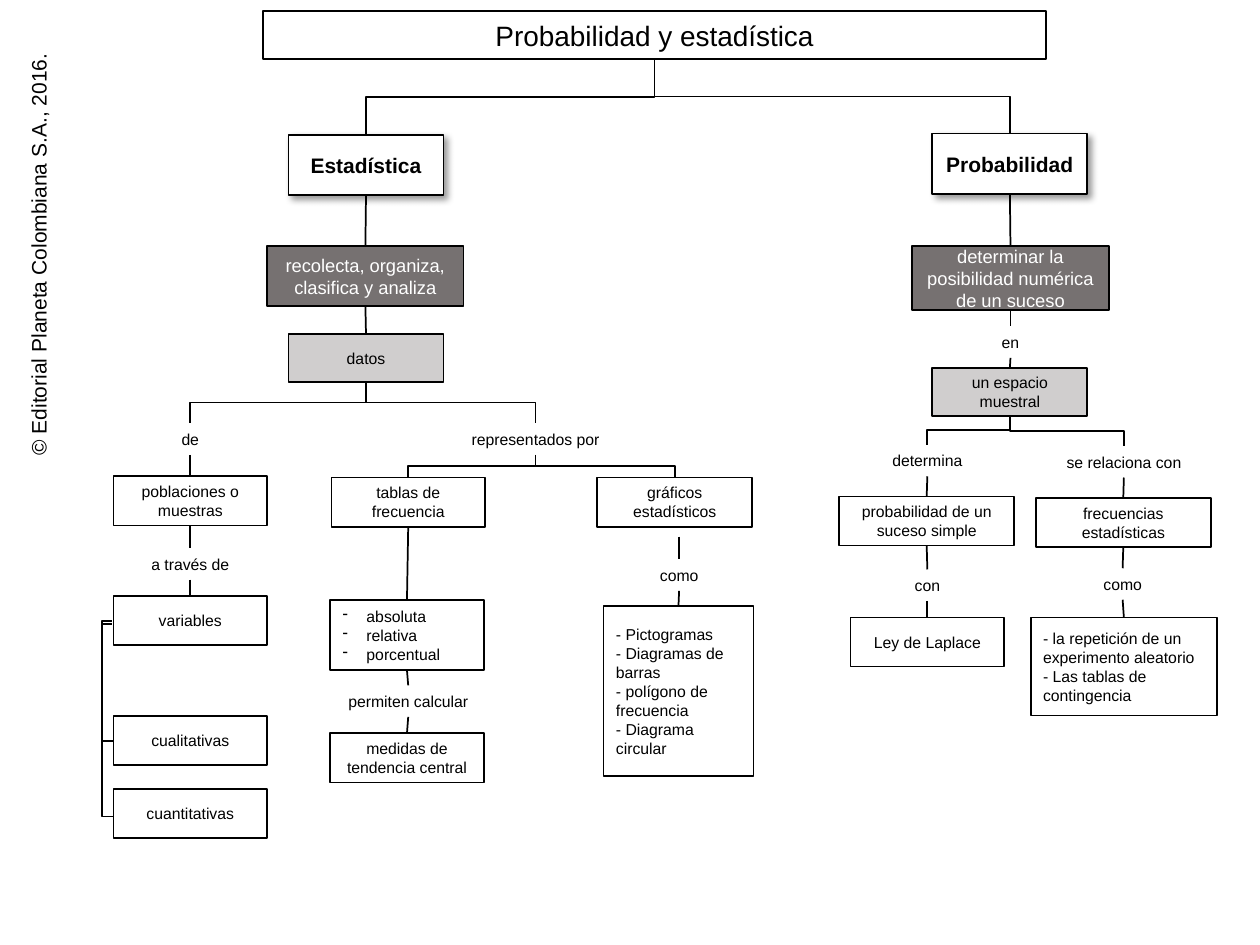
from lxml.etree import SubElement
from pptx import Presentation
from pptx.dml.color import RGBColor
from pptx.enum.shapes import MSO_CONNECTOR, MSO_SHAPE
from pptx.enum.text import MSO_ANCHOR, MSO_AUTO_SIZE, PP_ALIGN
from pptx.oxml.ns import qn
from pptx.util import Pt

PX = 9144
BLACK = RGBColor(0x00, 0x00, 0x00)
WHITE = RGBColor(0xFF, 0xFF, 0xFF)
DARK = RGBColor(0x76, 0x71, 0x71)
LIGHT = RGBColor(0xD0, 0xCE, 0xCE)

CREDIT = ("© Editorial Planeta Colombiana S.A., 2016.", -140, 187, 341, 30)

STYLES = {
    "title": dict(size=16),
    "head": dict(size=12, bold=True),
    "verb": dict(size=10.5, color=WHITE),
    "noun": {},
    "box": {},
    "list": dict(align=PP_ALIGN.LEFT),
    "dash": dict(align=PP_ALIGN.LEFT, dash=True),
    "link": {},
}
FILLS = {"verb": DARK, "noun": LIGHT}

NODES = {
    "root": ("title", "Probabilidad y estadística", 209, 9, 621, 38),
    "stat": ("head", "Estadística", 229, 107, 123, 48),
    "prob": ("head", "Probabilidad", 740, 106, 123, 48),
    "collect": ("verb", "recolecta, organiza, clasifica y analiza", 212, 195, 156, 48),
    "find": ("verb", "determinar la posibilidad numérica de un suceso", 724, 195, 156, 51),
    "data": ("noun", "datos", 229, 265, 123, 38),
    "space": ("noun", "un espacio muestral", 740, 292, 123, 38),
    "people": ("box", "poblaciones o muestras", 90, 378, 122, 39),
    "vars": ("box", "variables", 90, 473, 122, 39),
    "qual": ("box", "cualitativas", 90, 568, 122, 39),
    "quant": ("box", "cuantitativas", 90, 626, 122, 39),
    "tables": ("box", "tablas de frecuencia", 263, 379, 122, 39),
    "charts": ("box", "gráficos estadísticos", 474, 379, 123, 39),
    "kinds": ("dash", "absoluta\nrelativa\nporcentual", 262, 476, 122, 56),
    "center": ("box", "medidas de tendencia central", 262, 582, 122, 39),
    "plots": ("list", "- Pictogramas\n- Diagramas de barras\n- polígono de frecuencia\n"
              "- Diagrama circular", 479, 481, 119, 135),
    "simple": ("box", "probabilidad de un suceso simple", 666, 394, 139, 39),
    "law": ("box", "Ley de Laplace", 675, 490, 122, 39),
    "freq": ("box", "frecuencias estadísticas", 822, 395, 139, 39),
    "repeat": ("list", "- la repetición de un experimento aleatorio\n"
               "- Las tablas de contingencia", 818, 490, 148, 78),
    "of": ("link", "de", 90, 336, 122, 25),
    "through": ("link", "a través de", 90, 435, 122, 25),
    "shown": ("link", "representados por", 364, 336, 122, 25),
    "allow": ("link", "permiten calcular", 263, 544, 122, 25),
    "such": ("link", "como", 478, 444, 122, 25),
    "in": ("link", "en", 741, 259, 122, 25),
    "sets": ("link", "determina", 675, 353, 122, 25),
    "with": ("link", "con", 675, 452, 122, 25),
    "relates": ("link", "se relaciona con", 831, 354, 122, 25),
    "as": ("link", "como", 830, 451, 122, 25),
}

CHAINS = [
    ("root", "stat", "collect", "data", "of", "people", "through", "vars"),
    ("data", "shown", "tables", "kinds", "allow", "center"),
    ("shown", "charts"),
    ("such", "plots"),
    ("root", "prob", "find", "in", "space", "sets", "simple", "with", "law"),
    ("space", "relates", "freq", "as", "repeat"),
]
LOOSE = (539, 426)
BRACKET = [("qual", 588, 493), ("quant", 648, 495)]

deck = Presentation()
deck.slide_width, deck.slide_height = 1000 * PX, 750 * PX
slide = deck.slides.add_slide(deck.slide_layouts[6])
shapes = slide.shapes


def scale(*nums):
    return [round(n * PX) for n in nums]


def write(frame, text, size=9, color=BLACK, bold=False,
          align=PP_ALIGN.CENTER, dash=False, wrap=True):
    frame.word_wrap = wrap
    for i, line in enumerate(text.split("\n")):
        para = frame.paragraphs[0] if i == 0 else frame.add_paragraph()
        para.alignment = align
        if dash:
            props = para._p.get_or_add_pPr()
            props.set("marL", str(19 * PX))
            props.set("indent", str(-19 * PX))
            SubElement(props, qn("a:buChar")).set("char", "-")
        run = para.add_run()
        run.text = line
        font = run.font
        font.name, font.size, font.bold = "Arial", Pt(size), bold
        font.color.rgb = color


def shade(shape):
    effects = shape._element.spPr.find(qn("a:effectLst"))
    outer = SubElement(effects, qn("a:outerShdw"), blurRad=str(Pt(4)),
                       dist=str(Pt(3)), dir="2700000", algn="tl", rotWithShape="0")
    tint = SubElement(outer, qn("a:srgbClr"), val="000000")
    SubElement(tint, qn("a:alpha"), val="40000")


def label(text, *box, **fmt):
    shape = shapes.add_textbox(*scale(*box))
    write(shape.text_frame, text, **fmt)
    shape.text_frame.auto_size = MSO_AUTO_SIZE.SHAPE_TO_FIT_TEXT
    return shape


def node(style, text, *box):
    fmt = STYLES[style]
    if style == "link":
        return label(text, *box, **fmt)
    shape = shapes.add_shape(MSO_SHAPE.RECTANGLE, *scale(*box))
    shape.shadow.inherit = False
    shape.fill.solid()
    shape.fill.fore_color.rgb = FILLS.get(style, WHITE)
    shape.line.color.rgb = BLACK
    shape.line.width = Pt(1)
    shape.text_frame.vertical_anchor = MSO_ANCHOR.MIDDLE
    write(shape.text_frame, text, **fmt)
    if style == "head":
        shade(shape)
    return shape


def wire(kind, *ends):
    line = shapes.add_connector(kind, *scale(*ends))
    line.line.color.rgb = BLACK
    line.line.width = Pt(1)
    SubElement(line._element.spPr, qn("a:effectLst"))
    return line


def join(top, low):
    _, _, x, y, w, h = NODES[top]
    x1, y1 = x + w / 2, y + h
    _, _, x, y2, w, _ = NODES[low]
    x2 = x + w / 2
    if abs(x2 - x1) < 3:
        line = wire(MSO_CONNECTOR.STRAIGHT, x1, y1, x2, y2)
        line.begin_connect(made[top], 2)
        line.end_connect(made[low], 0)
        return
    midx, midy = (x1 + x2) / 2, (y1 + y2) / 2
    wide, drop = abs(x2 - x1) / 2, (y2 - y1) / 2
    side = 1 if x2 < x1 else -1
    line = wire(MSO_CONNECTOR.ELBOW, midx - side * drop, midy - wide,
                midx + side * drop, midy + wide)
    turn = 90 if side == 1 else 270
    line._element.spPr.find(qn("a:xfrm")).set("rot", str(turn * 60000))


label(*CREDIT, size=12, wrap=False).rotation = 270
made = {name: node(*item) for name, item in NODES.items()}
for chain in CHAINS:
    for top, low in zip(chain, chain[1:]):
        join(top, low)

drop = wire(MSO_CONNECTOR.STRAIGHT, *LOOSE, 539, 444)
drop.end_connect(made["such"], 0)

for name, low, high in BRACKET:
    left = NODES[name][2]
    line = wire(MSO_CONNECTOR.ELBOW, left, low, left - 1, high)
    line.adjustments = None
    geom = line._element.spPr.find(qn("a:prstGeom"))
    guides = geom.find(qn("a:avLst"))
    if guides is None:
        guides = SubElement(geom, qn("a:avLst"))
    SubElement(guides, qn("a:gd"), name="adj1", fmla="val 900000")

deck.save("out.pptx")
